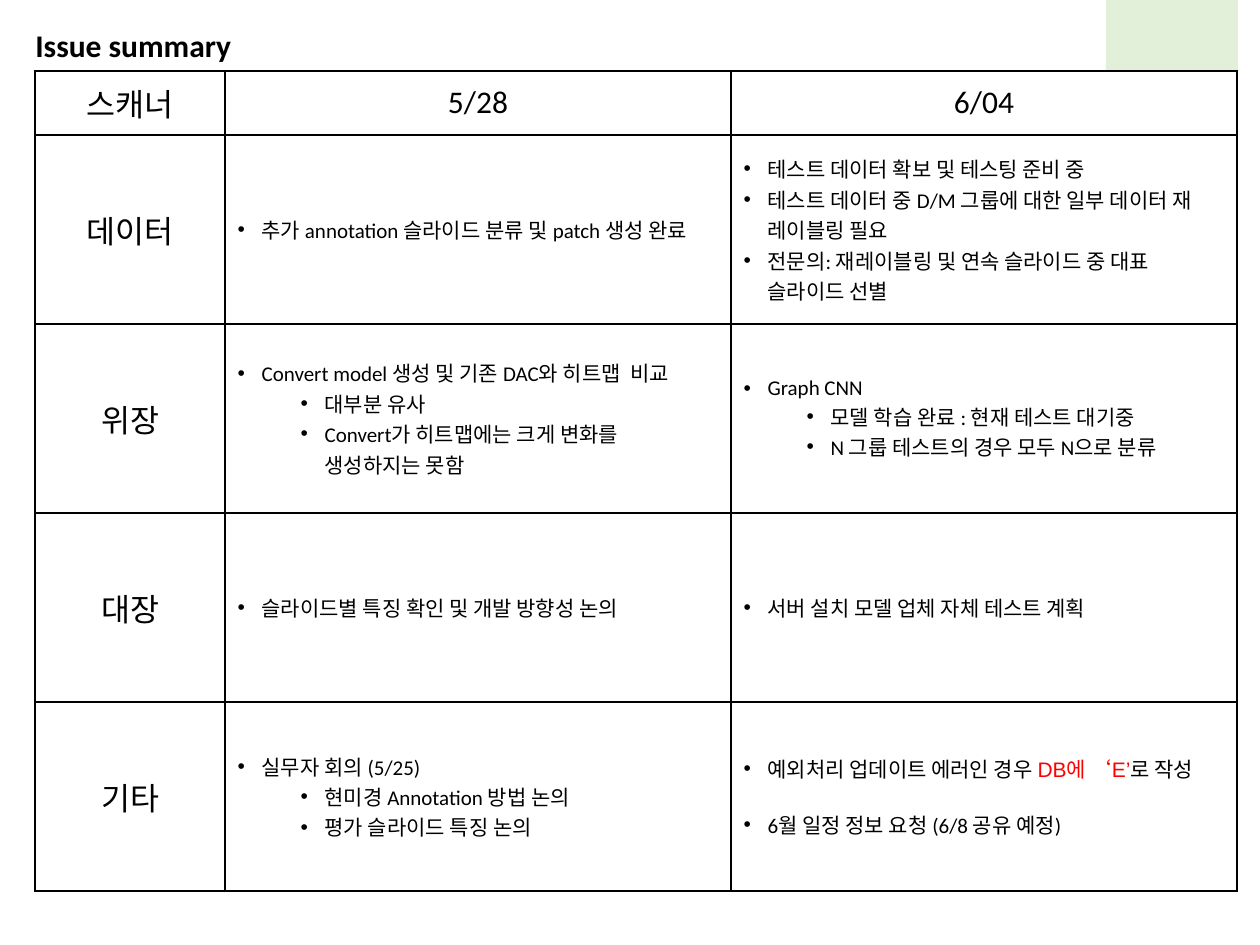
"""Build the issue summary slide with its two status tables."""
import dataclasses

import lxml.etree
import pptx
import pptx.dml.color
import pptx.enum.shapes
import pptx.enum.text
import pptx.oxml.ns
import pptx.util

PX = 914400 // 126
ALIGN = pptx.enum.text.PP_ALIGN


@dataclasses.dataclass(frozen=True)
class Theme:
    ink: str = "000000"
    alert: str = "FF0000"
    paper: str = "FFFFFF"
    accent: str = "E2F0D9"
    font: str = "Calibri"
    alert_font: str = "Arial"
    heading_size: int = 18
    body_size: int = 12
    border: int = 1


THEME = Theme()

TITLE = "Issue summary"
HEADER = ("스캐너", "5/28", "6/04")
ALERT_ITEM = (
    ("예외처리 업데이트 에러인 경우 ", THEME.ink),
    ("DB에 ‘E’", THEME.alert),
    ("로 작성", THEME.ink),
)
DATA_ROW = (
    "데이터",
    [(0, "추가 annotation 슬라이드 분류 및 patch 생성 완료")],
    [
        (0, "테스트 데이터 확보 및 테스팅 준비 중"),
        (0, "테스트 데이터 중 D/M 그룹에 대한 일부 데이터 재 레이블링 필요"),
        (0, "전문의: 재레이블링 및 연속 슬라이드 중 대표 슬라이드 선별"),
    ],
)
STOMACH_ROW = (
    "위장",
    [
        (0, "Convert model 생성 및 기존 DAC와 히트맵  비교"),
        (1, "대부분 유사"),
        (1, "Convert가 히트맵에는 크게 변화를 생성하지는 못함"),
    ],
    [
        (0, "Graph CNN"),
        (1, "모델 학습 완료 : 현재 테스트 대기중"),
        (1, "N 그룹 테스트의 경우 모두 N으로 분류"),
    ],
)
COLON_ROW = (
    "대장",
    [(0, "슬라이드별 특징 확인 및 개발 방향성 논의")],
    [(0, "서버 설치 모델 업체 자체 테스트 계획")],
)
OTHER_ROW = (
    "기타",
    [
        (0, "실무자 회의 (5/25)"),
        (1, "현미경 Annotation 방법 논의"),
        (1, "평가 슬라이드 특징 논의"),
    ],
    [
        (0, ALERT_ITEM, {"font": THEME.alert_font}),
        (0, "6월 일정 정보 요청 (6/8 공유 예정)", {"before": 15}),
    ],
)

LEFT, TOP = 35, 71
COLUMNS = (190, 506, 506)
HEADER_HEIGHT, ROW_HEIGHT = 64, 189
BULLET_INDENT, LEVEL_STEP = 24, 63
TABLES = (
    ((HEADER, DATA_ROW), (HEADER_HEIGHT, ROW_HEIGHT)),
    ((STOMACH_ROW, COLON_ROW, OTHER_ROW), (ROW_HEIGHT,) * 3),
)


def rgb(value):
    return pptx.dml.color.RGBColor.from_string(value)


def px(*lengths):
    return [length * PX for length in lengths]


def add_bullet(paragraph, level):
    paragraph.level = level
    properties = paragraph._p.get_or_add_pPr()
    properties.set("marL", str((BULLET_INDENT + level * LEVEL_STEP) * PX))
    properties.set("indent", str(-BULLET_INDENT * PX))
    for tag, key, value in (("a:buFont", "typeface", "Arial"), ("a:buChar", "char", "•")):
        lxml.etree.SubElement(properties, pptx.oxml.ns.qn(tag)).set(key, value)


def write(paragraph, text, size=THEME.body_size, font=THEME.font, bold=False,
          align=ALIGN.LEFT, level=None, before=None):
    if level is not None:
        add_bullet(paragraph, level)
    paragraph.alignment = align
    if before:
        paragraph.space_before = pptx.util.Pt(before)
    for words, color in [(text, THEME.ink)] if isinstance(text, str) else text:
        run = paragraph.add_run()
        run.text = words
        run.font.size = pptx.util.Pt(size)
        run.font.name = font
        run.font.bold = bold
        run.font.color.rgb = rgb(color)


def style_cell(cell):
    cell.fill.solid()
    cell.fill.fore_color.rgb = rgb(THEME.paper)
    cell.vertical_anchor = pptx.enum.text.MSO_ANCHOR.MIDDLE
    properties = cell._tc.get_or_add_tcPr()
    for order, side in enumerate(("lnL", "lnR", "lnT", "lnB")):
        line = properties.makeelement(
            pptx.oxml.ns.qn("a:" + side), {"w": str(pptx.util.Pt(THEME.border))})
        fill = lxml.etree.SubElement(line, pptx.oxml.ns.qn("a:solidFill"))
        lxml.etree.SubElement(fill, pptx.oxml.ns.qn("a:srgbClr")).set("val", THEME.ink)
        properties.insert(order, line)


def fill_cell(cell, content):
    style_cell(cell)
    frame = cell.text_frame
    if isinstance(content, str):
        write(frame.paragraphs[0], content, size=THEME.heading_size, align=ALIGN.CENTER)
        return
    for index, (level, text, *extra) in enumerate(content):
        paragraph = frame.add_paragraph() if index else frame.paragraphs[0]
        write(paragraph, text, level=level, **(extra[0] if extra else {}))


def add_status_table(slide, rows, heights, top):
    table = slide.shapes.add_table(
        len(rows), len(COLUMNS), *px(LEFT, top, sum(COLUMNS), sum(heights))).table
    table.first_row = table.horz_banding = False
    for column, width in zip(table.columns, COLUMNS):
        column.width = width * PX
    for row, height, contents in zip(table.rows, heights, rows):
        row.height = height * PX
        for cell, content in zip(row.cells, contents):
            fill_cell(cell, content)


def main():
    deck = pptx.Presentation()
    deck.slide_width, deck.slide_height = px(1260, 945)
    slide = deck.slides.add_slide(deck.slide_layouts[6])

    corner = slide.shapes.add_shape(
        pptx.enum.shapes.MSO_SHAPE.RECTANGLE, *px(1106, -19, 132, 181))
    corner.shadow.inherit = False
    corner.fill.solid()
    corner.fill.fore_color.rgb = rgb(THEME.accent)
    corner.line.fill.background()

    title = slide.shapes.add_textbox(*px(23, 20, 394, 50)).text_frame
    title.word_wrap = True
    write(title.paragraphs[0], TITLE, size=THEME.heading_size, bold=True)

    top = TOP
    for rows, heights in TABLES:
        add_status_table(slide, rows, heights, top)
        top += sum(heights)
    deck.save("out.pptx")


if __name__ == "__main__":
    main()
